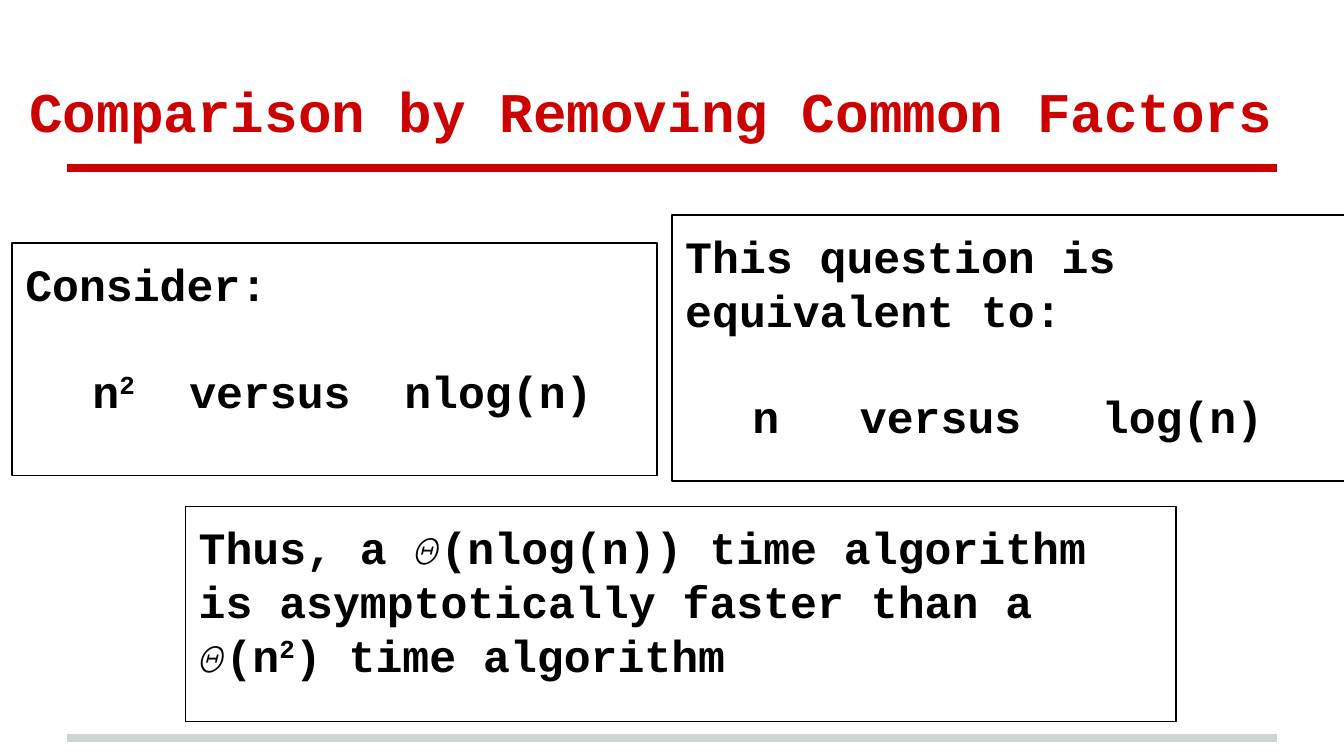
import pptx
import pptx.dml.color
import pptx.enum.shapes
import pptx.enum.text
import pptx.oxml.ns
import pptx.util
import lxml.etree

Inches, Pt = pptx.util.Inches, pptx.util.Pt
qn = pptx.oxml.ns.qn

THEME = {
    "font": "Courier New",
    "red": "CC0202",
    "gray": "CFD4D4",
    "black": "000000",
    "title_size": 30,
    "body_size": 24,
    "rule_width": 4,
    "border_width": 0.75,
    "inset": 0.1,
    "formula_gap": 28.5,
}
SLIDE_WIDTH = 10
SLIDE_HEIGHT = SLIDE_WIDTH * 9 / 16
MARGIN = 0.5

TITLE = {"text": "Comparison by Removing Common Factors", "at": (0.12, 0.23, 9.83, 0.94)}
RULES = [(5.49, "gray"), (1.25, "red")]
STATEMENTS = [
    {
        "at": (0.09, 1.81, 4.8, 1.73),
        "text": ["Consider:"],
        "formula": ["\tn", ("2",), "\tversus\tnlog(n)"],
        "tabs": (0.5, 1.22, 2.82),
    },
    {
        "at": (5, 1.6, 5.01, 1.98),
        "text": ["This question is equivalent to:"],
        "formula": ["\tn\tversus\tlog(n)"],
        "tabs": (0.5, 1.3, 3.1),
    },
    {
        "at": (1.38, 3.77, 7.37, 1.6),
        "text": [
            "Thus, a 𝛩(nlog(n)) time algorithm is asymptotically faster than a 𝛩(n",
            ("2",),
            ") time algorithm",
        ],
    },
]


def color(name):
    return pptx.dml.color.RGBColor.from_string(THEME[name])


def apply(target, formats):
    for attribute, value in formats.items():
        setattr(target, attribute, value)


def set_frame(frame, anchor):
    inset = Inches(THEME["inset"])
    apply(frame, {
        "word_wrap": True,
        "vertical_anchor": anchor,
        "margin_left": inset,
        "margin_right": inset,
        "margin_top": inset,
        "margin_bottom": inset,
    })


def write(paragraph, pieces, size, ink):
    paragraph.alignment = pptx.enum.text.PP_ALIGN.LEFT
    for piece in pieces:
        raised = isinstance(piece, tuple)
        run = paragraph.add_run()
        run.text = piece[0] if raised else piece
        apply(run.font, {"name": THEME["font"], "size": Pt(size), "bold": True})
        run.font.color.rgb = color(ink)
        if raised:
            run.font._element.set("baseline", "30000")


def space_formula(paragraph, stops):
    properties = paragraph._p.get_or_add_pPr()
    tabs = lxml.etree.SubElement(properties, qn("a:tabLst"))
    for stop in stops:
        lxml.etree.SubElement(tabs, qn("a:tab"), pos=str(Inches(stop)), algn="l")
    paragraph.space_before = Pt(THEME["formula_gap"])


def add_rule(slide, y, ink):
    rule = slide.shapes.add_connector(
        pptx.enum.shapes.MSO_CONNECTOR.STRAIGHT,
        Inches(MARGIN), Inches(y), Inches(SLIDE_WIDTH - MARGIN), Inches(y))
    rule.line.color.rgb = color(ink)
    rule.line.width = Pt(THEME["rule_width"])
    lxml.etree.SubElement(rule._element.spPr, qn("a:effectLst"))


def add_title(slide):
    title = slide.shapes.add_textbox(*map(Inches, TITLE["at"])).text_frame
    set_frame(title, pptx.enum.text.MSO_ANCHOR.BOTTOM)
    write(title.paragraphs[0], [TITLE["text"]], THEME["title_size"], "red")


def add_statement(slide, statement):
    box = slide.shapes.add_shape(
        pptx.enum.shapes.MSO_SHAPE.RECTANGLE, *map(Inches, statement["at"]))
    box.shadow.inherit = False
    box.fill.background()
    box.line.color.rgb = color("black")
    box.line.width = Pt(THEME["border_width"])
    set_frame(box.text_frame, pptx.enum.text.MSO_ANCHOR.TOP)
    write(box.text_frame.paragraphs[0], statement["text"], THEME["body_size"], "black")
    if "formula" in statement:
        formula = box.text_frame.add_paragraph()
        space_formula(formula, statement["tabs"])
        write(formula, statement["formula"], THEME["body_size"], "black")


def main():
    deck = pptx.Presentation()
    deck.slide_width, deck.slide_height = Inches(SLIDE_WIDTH), Inches(SLIDE_HEIGHT)
    slide = deck.slides.add_slide(deck.slide_layouts[6])
    for y, ink in RULES:
        add_rule(slide, y, ink)
    add_title(slide)
    for statement in STATEMENTS:
        add_statement(slide, statement)
    deck.save("out.pptx")


if __name__ == "__main__":
    main()
